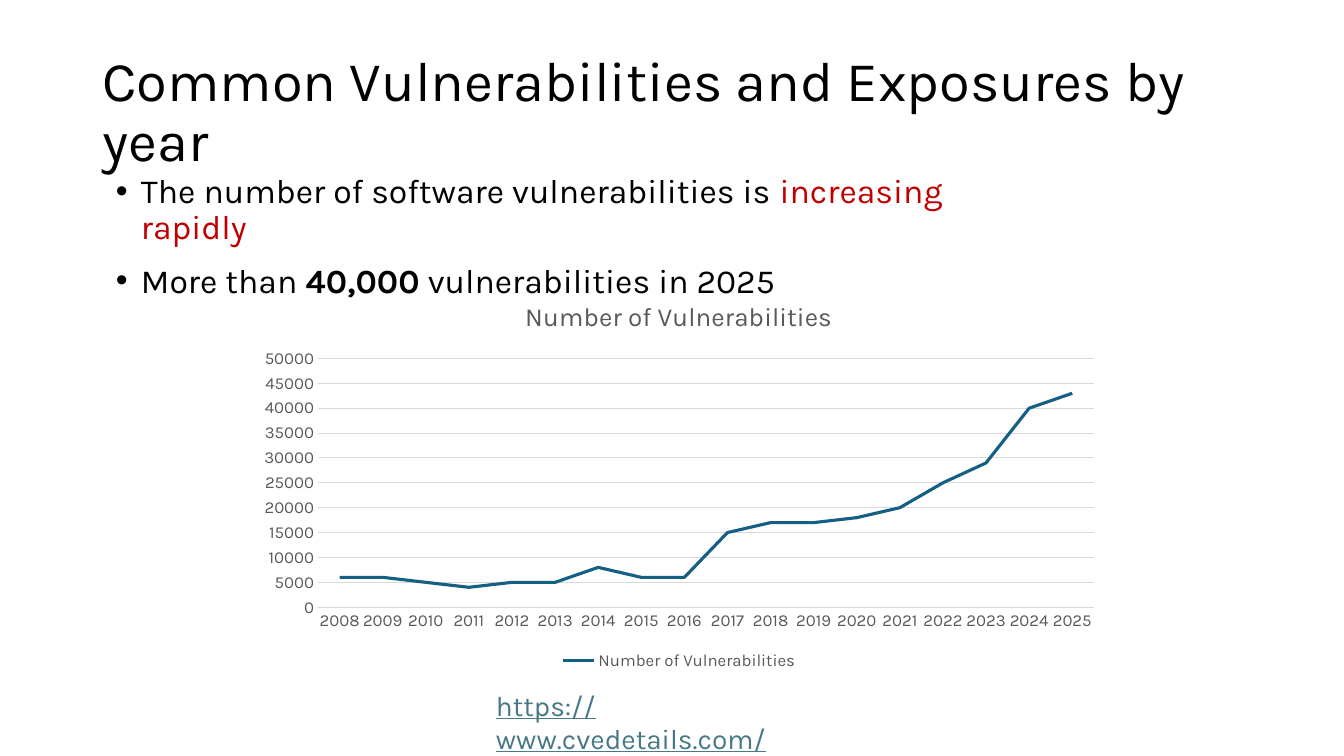
from lxml import etree
from pptx import Presentation
from pptx.chart.data import CategoryChartData
from pptx.dml.color import RGBColor
from pptx.enum.chart import XL_CHART_TYPE, XL_LEGEND_POSITION, XL_TICK_MARK
from pptx.enum.text import MSO_ANCHOR
from pptx.oxml.ns import qn
from pptx.util import Inches, Pt

LINE_CHART = XL_CHART_TYPE.LINE_STACKED
LEGEND_BOTTOM = XL_LEGEND_POSITION.BOTTOM
NO_TICKS = XL_TICK_MARK.NONE
TOP, MIDDLE = MSO_ANCHOR.TOP, MSO_ANCHOR.MIDDLE

FONT = "Karla"
COLORS = {
    "text": "000000",
    "highlight": "C00000",
    "link": "467886",
    "series": "156082",
    "label": "595959",
    "grid": "D9D9D9",
}

SERIES_NAME = "Number of Vulnerabilities"
FIRST_YEAR = 2008
VULNERABILITIES = [
    6000, 6000, 5000, 4000, 5000, 5000, 8000, 6000, 6000,
    15000, 17000, 17000, 18000, 20000, 25000, 29000, 40000, 43000,
]


def color(name):
    return RGBColor.from_string(COLORS[name])


def format_font(font, size, color_name="text", bold=False, underline=False):
    font.name = FONT
    font.size = Pt(size)
    font.bold = bold
    font.underline = underline
    font.color.rgb = color(color_name)


def format_line(line, color_name, width):
    line.color.rgb = color(color_name)
    line.width = Pt(width)


def add_bullet(paragraph, indent=0.25):
    properties = paragraph._p.get_or_add_pPr()
    properties.set("marL", str(Inches(indent)))
    properties.set("indent", str(-Inches(indent)))
    etree.SubElement(properties, qn("a:buFont"), typeface="Arial")
    etree.SubElement(properties, qn("a:buChar"), char="•")


def add_text(slide, paragraphs, left, top, width, height, size,
             anchor=TOP, line_spacing=1.0, space=0, bullets=False):
    """Each paragraph is a list of (text, font options) runs."""
    box = slide.shapes.add_textbox(
        Inches(left), Inches(top), Inches(width), Inches(height))
    frame = box.text_frame
    frame.word_wrap = True
    frame.vertical_anchor = anchor
    for index, runs in enumerate(paragraphs):
        paragraph = frame.add_paragraph() if index else frame.paragraphs[0]
        if bullets:
            add_bullet(paragraph)
        paragraph.line_spacing = line_spacing
        paragraph.space_before = Pt(space if index else 0)
        paragraph.space_after = Pt(space)
        for text, options in runs:
            run = paragraph.add_run()
            run.text = text
            format_font(run.font, size, **options)


def format_axis(axis):
    axis.major_tick_mark = NO_TICKS
    axis.minor_tick_mark = NO_TICKS
    format_font(axis.tick_labels.font, 12, "label")


def add_line_chart(slide, left, top, width, height):
    data = CategoryChartData()
    data.categories = [
        str(FIRST_YEAR + offset) for offset in range(len(VULNERABILITIES))]
    data.add_series(SERIES_NAME, VULNERABILITIES)
    chart = slide.shapes.add_chart(
        LINE_CHART, Inches(left), Inches(top), Inches(width), Inches(height),
        data).chart
    format_font(chart.font, 10)

    # Title and legend
    chart.has_title = True
    title = chart.chart_title.text_frame
    title.text = SERIES_NAME
    format_font(title.paragraphs[0].runs[0].font, 18.6, "label")
    chart.has_legend = True
    chart.legend.position = LEGEND_BOTTOM
    chart.legend.include_in_layout = False
    format_font(chart.legend.font, 12, "label")

    # Axes
    format_axis(chart.category_axis)
    format_line(chart.category_axis.format.line, "grid", 0.75)
    value_axis = chart.value_axis
    format_axis(value_axis)
    value_axis.minimum_scale = 0
    value_axis.maximum_scale = 50000
    value_axis.major_unit = 5000
    value_axis.format.line.fill.background()
    value_axis.has_major_gridlines = True
    format_line(value_axis.major_gridlines.format.line, "grid", 0.75)

    # Series
    plot = chart.plots[0]
    plot.vary_by_categories = False
    series = plot.series[0]
    series.smooth = False
    format_line(series.format.line, "series", 2.25)


def main():
    presentation = Presentation()
    presentation.slide_width = Inches(13.33)
    presentation.slide_height = Inches(7.5)
    slide = presentation.slides.add_slide(presentation.slide_layouts[6])

    # Key points
    points = [
        [("The number of software vulnerabilities is ", {}),
         ("increasing rapidly", {"color_name": "highlight"})],
        [("More than ", {}), ("40,000", {"bold": True}),
         (" vulnerabilities in 2025", {})],
    ]
    add_text(slide, points, 1.05, 1.68, 8.93, 1.33, 24.1,
             line_spacing=0.9, space=6, bullets=True)

    # Vulnerabilities per year
    add_line_chart(slide, 2.45, 2.79, 8.57, 3.9)

    # Source address
    address = [("https://www.cvedetails.com/",
                {"color_name": "link", "underline": True})]
    add_text(slide, [address], 4.82, 6.78, 3.71, 0.44, 20)

    # Title
    heading = [("Common Vulnerabilities and Exposures by year", {})]
    add_text(slide, [heading], 0.92, 0.4, 11.82, 1.45, 40,
             anchor=MIDDLE, line_spacing=0.9)

    presentation.save("out.pptx")


if __name__ == "__main__":
    main()
